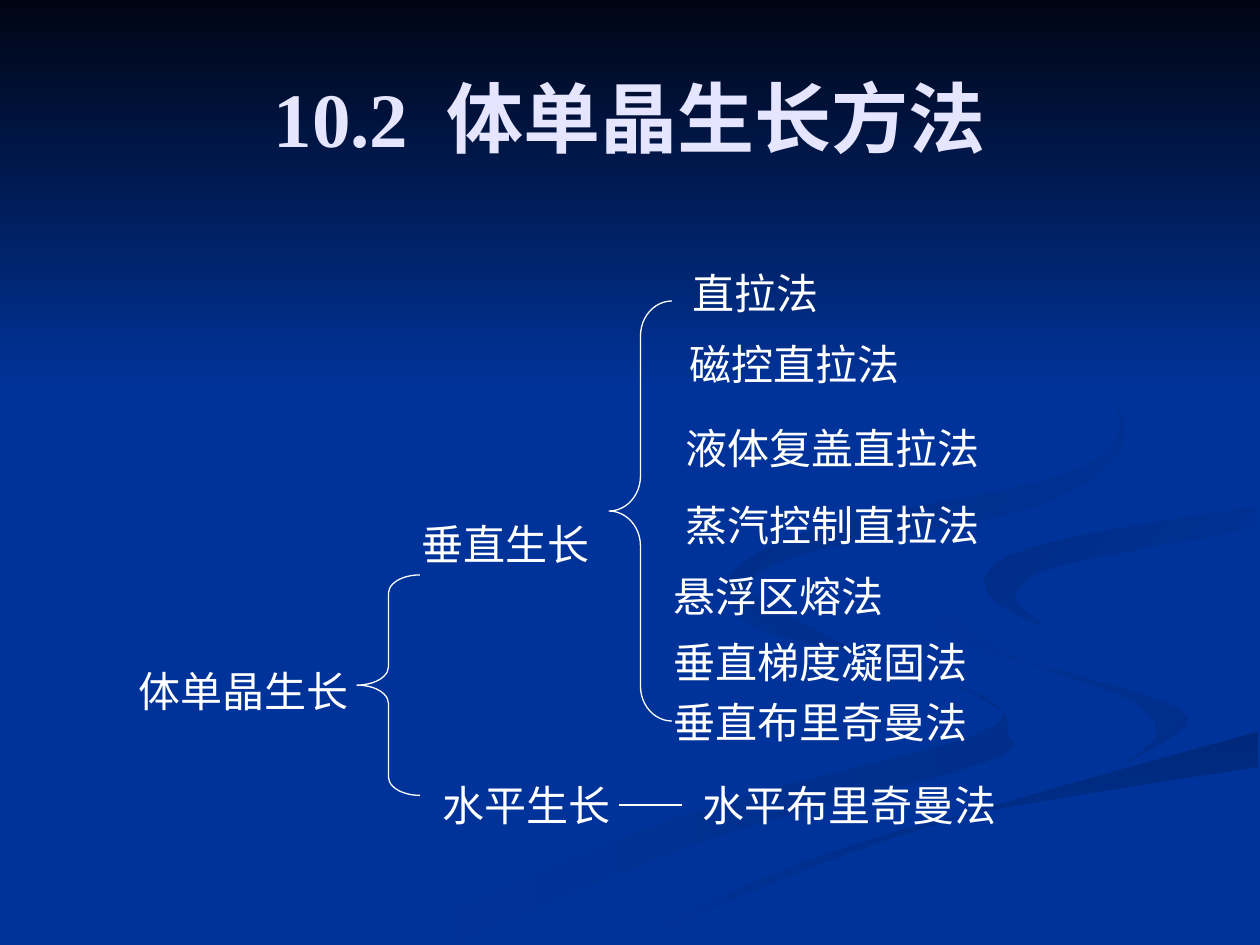
from lxml import etree
from pptx import Presentation
from pptx import util as u
from pptx.dml import color
from pptx.enum import shapes, text
from pptx.oxml import ns

WIDTH, HEIGHT = 720, 540
BLUE, WHITE = "003399", "FFFFFF"
TITLE = "10.2  体单晶生长方法"
TITLE_FORMAT = dict(size=u.Pt(44), name="Times New Roman", bold=True)
LABEL_FORMAT = dict(size=u.Pt(24), name="Arial", bold=False)
LABEL_HEIGHT, CHARACTER, INSET = 36, 24, 7.2

# (text, left, top)
LABELS = [
    ("体单晶生长", 72, 376.5),
    ("垂直生长", 234, 292.5),
    ("水平生长", 246, 442),
    ("直拉法", 388.5, 149.5),
    ("磁控直拉法", 387, 190),
    ("液体复盖直拉法", 384.5, 238),
    ("蒸汽控制直拉法", 384.5, 282),
    ("悬浮区熔法", 378, 322.5),
    ("垂直梯度凝固法", 378, 360),
    ("垂直布里奇曼法", 378, 394.5),
    ("水平布里奇曼法", 394.5, 442),
]
BRACES = [(204, 328.5, 36, 126), (348, 172, 36, 240)]  # left, top, width, height
LINK = (354, 460, 390, 460)

# Background ribbons: the two edges, each a curve through a few points in order
# round the ribbon, then the gradient colours and their clockwise angle
CURVE_STEPS = 5
RIBBONS = [
    ([(414, 330), (428, 357), (489, 374), (559, 398), (557, 420), (388, 467), (216, 539)],
     [(260, 539), (406, 479), (562, 436), (576, 418), (562, 398), (491, 373), (414, 330)],
     ("002E8A", BLUE), 180),
    ([(521, 334), (546, 366), (626, 389), (679, 410), (644, 436)],
     [(644, 436), (661, 418), (642, 398), (574, 373), (521, 334)],
     ("002E8A", BLUE), 225),
    ([(362, 539), (432, 504), (541, 468), (719, 438)],
     [(719, 418), (550, 466), (454, 499), (362, 539)],
     ("00297C", BLUE), 90),
    ([(562, 331), (569, 344), (595, 357), (580, 340), (607, 323), (719, 302)],
     [(719, 289), (623, 305), (576, 318), (562, 331)],
     (BLUE, "002C85"), 225),
    ([(549, 168), (609, 201), (640, 241), (606, 272), (467, 302), (415, 333), (448, 360)],
     [(448, 360), (427, 335), (467, 314), (594, 289), (643, 248), (607, 198), (549, 168)],
     (BLUE, "002B81"), 225),
]
BAND_HEIGHT, BAND_COLOURS = 222, ("000514", BLUE)


def rgb(value):
    return color.RGBColor.from_string(value)


def points(values):
    return [u.Pt(value) for value in values]


def smooth_curve(knots):
    """Return points on a Catmull-Rom curve through the knots."""
    padded = [knots[0], *knots, knots[-1]]
    curve = []
    for quad in zip(padded, padded[1:], padded[2:], padded[3:]):
        for step in range(CURVE_STEPS):
            t = step / CURVE_STEPS
            curve.append(tuple(
                b + t * (c - a) / 2
                + t**2 * (2 * a - 5 * b + 4 * c - d) / 2
                + t**3 * (3 * b - a - 3 * c + d) / 2
                for a, b, c, d in zip(*quad)))
    return curve + [knots[-1]]


def set_gradient(shape, colours, angle):
    shape.shadow.inherit = False
    shape.line.fill.background()
    shape.fill.gradient()
    shape.fill.gradient_angle = 360 - angle
    for stop, position, colour in zip(shape.fill.gradient_stops, (0, 1), colours):
        stop.position = position
        stop.color.rgb = rgb(colour)


def add_ribbon(slide, first_edge, second_edge, colours, angle):
    outline = [points(point) for edge in (first_edge, second_edge)
               for point in smooth_curve(edge)]
    builder = slide.shapes.build_freeform(*outline[0])
    builder.add_line_segments(outline[1:], close=True)
    set_gradient(builder.convert_to_shape(), colours, angle)


def add_text(slide, content, box, formats, colour):
    shape = slide.shapes.add_textbox(*points(box))
    paragraph = shape.text_frame.paragraphs[0]
    run = paragraph.add_run()
    run.text = content
    for name, value in formats.items():
        setattr(run.font, name, value)
    run.font.color.rgb = rgb(colour)
    return shape.text_frame, paragraph


def set_white_line(shape):
    shape.line.color.rgb = rgb(WHITE)
    shape.line.width = u.Pt(0.75)


def add_brace(slide, box):
    shape = slide.shapes.add_shape(shapes.MSO_SHAPE.LEFT_BRACE, *points(box))
    shape.shadow.inherit = False
    shape.fill.background()
    set_white_line(shape)
    width, height = box[2:]
    shape.adjustments[0] = height / width / 12
    shape.adjustments[1] = 0.5


def main():
    presentation = Presentation()
    presentation.slide_width, presentation.slide_height = points((WIDTH, HEIGHT))
    slide = presentation.slides.add_slide(presentation.slide_layouts[6])
    slide.background.fill.solid()
    slide.background.fill.fore_color.rgb = rgb(BLUE)

    for ribbon in RIBBONS:
        add_ribbon(slide, *ribbon)
    band = slide.shapes.add_shape(
        shapes.MSO_SHAPE.RECTANGLE, *points((0, 0, WIDTH, BAND_HEIGHT)))
    set_gradient(band, BAND_COLOURS, 90)

    frame, paragraph = add_text(slide, TITLE, (40, 26, 640, 81), TITLE_FORMAT, "E5E5FF")
    frame.word_wrap = True
    frame.vertical_anchor = text.MSO_ANCHOR.MIDDLE
    paragraph.alignment = text.PP_ALIGN.CENTER

    for content, left, top in LABELS:
        box = (left, top, len(content) * CHARACTER + 2 * INSET, LABEL_HEIGHT)
        frame, paragraph = add_text(slide, content, box, LABEL_FORMAT, WHITE)
        frame.word_wrap = False
        frame.auto_size = text.MSO_AUTO_SIZE.SHAPE_TO_FIT_TEXT

    for box in BRACES:
        add_brace(slide, box)

    link = slide.shapes.add_connector(shapes.MSO_CONNECTOR.STRAIGHT, *points(LINK))
    set_white_line(link)
    etree.SubElement(link._element.spPr, ns.qn("a:effectLst"))

    presentation.save("out.pptx")


if __name__ == "__main__":
    main()
